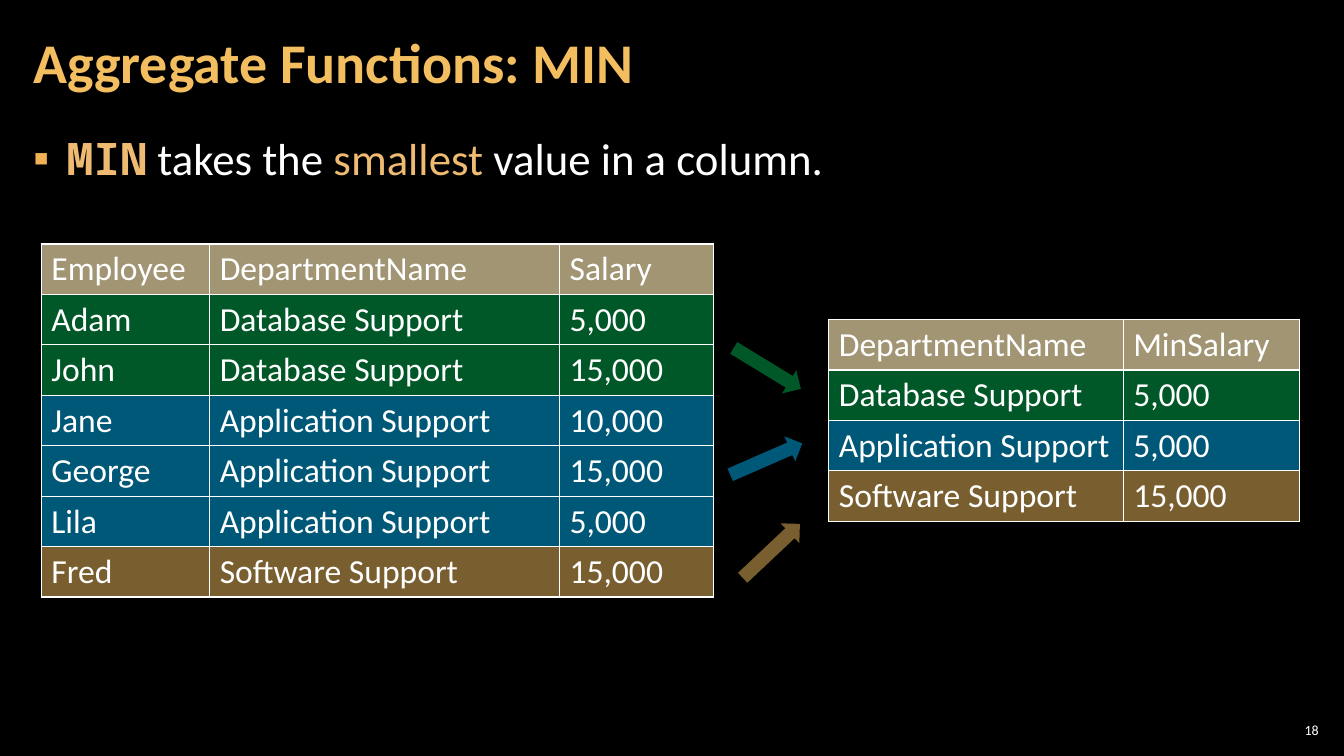
from pptx import Presentation
from pptx.dml.color import RGBColor
from pptx.enum.shapes import MSO_SHAPE as Shape
from pptx.enum.text import MSO_ANCHOR as Anchor, PP_ALIGN as Align
from pptx.oxml import parse_xml
from pptx.oxml.ns import nsdecls, qn
from pptx.util import Inches, Pt

COLORS = {
    "background": "000000",
    "text": "FFFFFF",
    "title": "F3BE60",
    "accent": "EFBB72",
    "bullet": "F2B254",
    "header": "A19574",
    "database": "00B050",
    "application": "00B0F0",
    "software": "F3BE60",
}
ROW_HEIGHT = 0.5

# Each row: fill name, then cell texts
EMPLOYEES = [
    ("header", "Employee", "DepartmentName", "Salary"),
    ("database", "Adam", "Database Support", "5,000"),
    ("database", "John", "Database Support", "15,000"),
    ("application", "Jane", "Application Support", "10,000"),
    ("application", "George", "Application Support", "15,000"),
    ("application", "Lila", "Application Support", "5,000"),
    ("software", "Fred", "Software Support", "15,000"),
]
MINIMUMS = [
    ("header", "DepartmentName", "MinSalary"),
    ("database", "Database Support", "5,000"),
    ("application", "Application Support", "5,000"),
    ("software", "Software Support", "15,000"),
]
# Each arrow: fill name, left, top, rotation
ARROWS = [
    ("database", 7.22, 3.52, 31.4),
    ("application", 7.21, 4.42, 336.4),
    ("software", 7.26, 5.33, 316.7),
]


def color(name):
    return RGBColor.from_string(COLORS[name])


def add_text(para, text, size=24, font="Calibri", fill="text", bold=False):
    span = para.add_run()
    span.text = text
    span.font.size = Pt(size)
    span.font.name = font
    span.font.bold = bold
    span.font.color.rgb = color(fill)


def set_frame(frame, anchor, side, edge=0.04):
    frame.word_wrap = True
    frame.vertical_anchor = anchor
    frame.margin_left = frame.margin_right = Inches(side)
    frame.margin_top = frame.margin_bottom = Inches(edge)


def set_fill(fill, properties, name):
    """Fill with a named colour; department colours are half transparent."""
    fill.solid()
    fill.fore_color.rgb = color(name)
    if name != "header":
        tint = properties.find(qn("a:solidFill")).find(qn("a:srgbClr"))
        tint.append(parse_xml(f'<a:alpha {nsdecls("a")} val="50000"/>'))


def set_borders(properties):
    for index, side in enumerate(("lnL", "lnR", "lnT", "lnB")):
        properties.insert(index, parse_xml(
            f'<a:{side} {nsdecls("a")} w="12700"><a:solidFill>'
            f'<a:srgbClr val="{COLORS["text"]}"/></a:solidFill></a:{side}>'))


def add_title(page, left, top, width, height):
    title = page.shapes.title
    title.left, title.top = Inches(left), Inches(top)
    title.width, title.height = Inches(width), Inches(height)
    set_frame(title.text_frame, Anchor.MIDDLE, 0.12)
    para = title.text_frame.paragraphs[0]
    para.alignment = Align.LEFT
    para.line_spacing = 0.9
    add_text(para, "Aggregate Functions: MIN", size=40, fill="title", bold=True)


def add_statement(page, left, top, width, height):
    box = page.shapes.add_textbox(*map(Inches, (left, top, width, height)))
    set_frame(box.text_frame, Anchor.TOP, 0.12)
    para = box.text_frame.paragraphs[0]
    para.space_before = para.space_after = Pt(6)
    add_text(para, "MIN", size=32, font="Noto Sans Mono", fill="accent", bold=True)
    add_text(para, " takes the ", size=32)
    add_text(para, "smallest", size=32, fill="accent")
    add_text(para, " value in a column.", size=32)

    # Square bullet with a hanging indent
    properties = para._p.get_or_add_pPr()
    properties.set("marL", str(Inches(0.33)))
    properties.set("indent", str(-Inches(0.33)))
    for bullet in (
        f'<a:buClr {nsdecls("a")}><a:srgbClr val="{COLORS["bullet"]}"/></a:buClr>',
        f'<a:buFont {nsdecls("a")} typeface="Calibri"/>',
        f'<a:buChar {nsdecls("a")} char="▪"/>',
    ):
        properties.append(parse_xml(bullet))


def add_data_table(page, left, top, widths, rows):
    frame = page.shapes.add_table(
        len(rows), len(widths), Inches(left), Inches(top),
        Inches(sum(widths)), Inches(ROW_HEIGHT * len(rows)))
    table = frame.table
    table.first_row = table.horz_banding = False
    for column, width in zip(table.columns, widths):
        column.width = Inches(width)
    for row, (fill, *texts) in zip(table.rows, rows):
        row.height = Inches(ROW_HEIGHT)
        for cell, text in zip(row.cells, texts):
            add_text(cell.text_frame.paragraphs[0], text)
            properties = cell._tc.get_or_add_tcPr()
            set_fill(cell.fill, properties, fill)
            set_borders(properties)


def add_arrow(page, fill, left, top, rotation):
    arrow = page.shapes.add_shape(
        Shape.RIGHT_ARROW, *map(Inches, (left, top, 0.78, 0.27)))
    arrow.rotation = rotation
    arrow.shadow.inherit = False
    arrow.line.fill.background()
    set_fill(arrow.fill, arrow._element.spPr, fill)


def add_page_number(page, left, top, width, height):
    box = page.shapes.add_textbox(*map(Inches, (left, top, width, height)))
    set_frame(box.text_frame, Anchor.MIDDLE, 0.04)
    para = box.text_frame.paragraphs[0]
    para.alignment = Align.RIGHT
    add_text(para, "18", size=10)


def main():
    deck = Presentation()
    deck.slide_width, deck.slide_height = Inches(13.33), Inches(7.5)
    page = deck.slides.add_slide(deck.slide_layouts[5])
    page.background.fill.solid()
    page.background.fill.fore_color.rgb = color("background")

    add_page_number(page, 12.65, 7.14, 0.47, 0.21)
    add_title(page, 0.21, 0.04, 10.47, 1.21)
    add_data_table(page, 0.41, 2.42, (1.67, 3.47, 1.53), EMPLOYEES)
    add_data_table(page, 8.22, 3.17, (2.92, 1.75), MINIMUMS)
    for arrow in ARROWS:
        add_arrow(page, *arrow)
    add_statement(page, 0.21, 1.26, 12.91, 6.09)
    deck.save("out.pptx")


if __name__ == "__main__":
    main()
